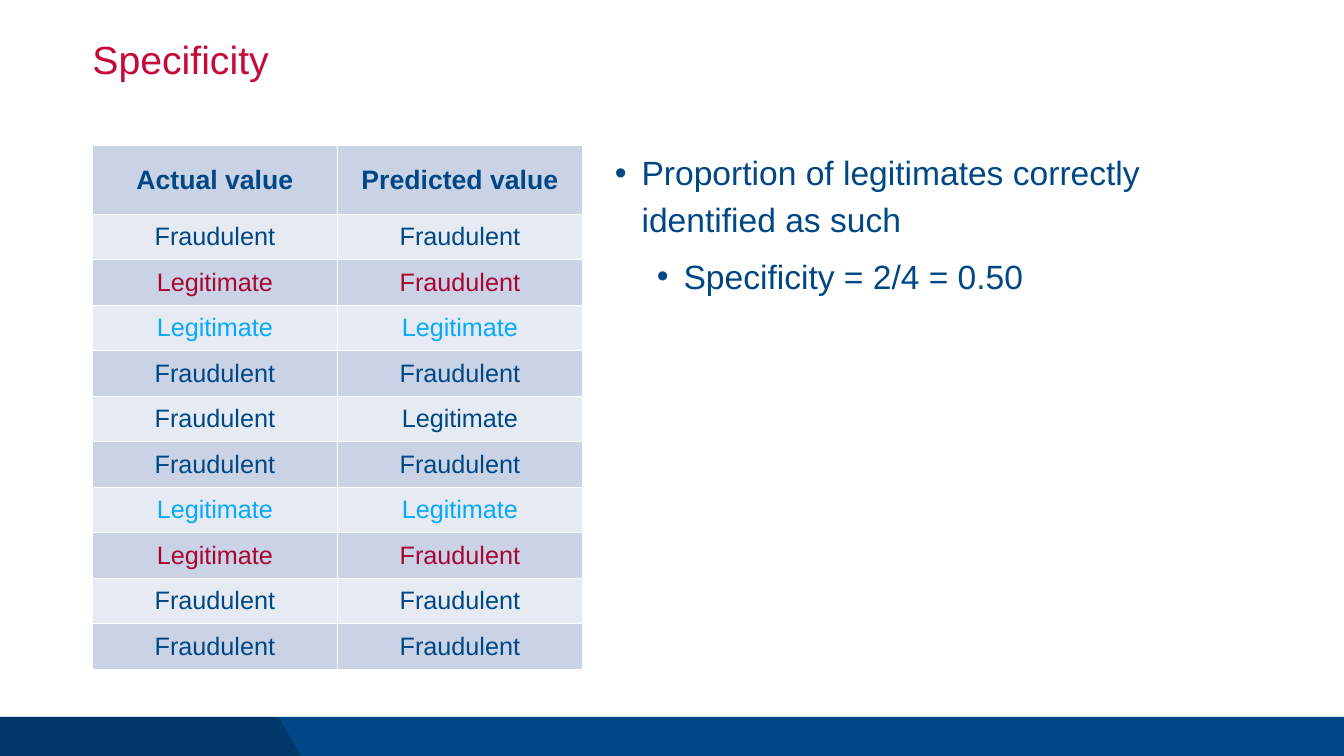
from lxml import etree
from pptx import Presentation
from pptx.dml.color import RGBColor
from pptx.enum.shapes import MSO_SHAPE
from pptx.enum.text import MSO_ANCHOR, PP_ALIGN
from pptx.oxml.ns import qn
from pptx.util import Pt

NAVY, CRIMSON, RED, SKY = "004785", "C5093B", "A90533", "06AAFC"
DARK, LIGHT, WHITE, BLACK = "CAD3E5", "E6EAF2", "FFFFFF", "000000"

TITLE = "Specificity"
HEADER = ("Actual value", "Predicted value")
F, L = "Fraudulent", "Legitimate"
CASES = [(F, F), (L, F), (L, L), (F, F), (F, L),
         (F, F), (L, L), (L, F), (F, F), (F, F)]
CASE_COLORS = {(L, L): SKY, (L, F): RED}
BULLETS = [  # text, left margin, space before
    ("Proportion of legitimates correctly identified as such", 38, 30),
    ("Specificity = 2/4 = 0.50", 98, 15),
]

WIDTH, HEIGHT = 1920, 1080
LEFT, TOP = 132, 208
COL_W, HEAD_H, ROW_H = 350, 98, 65
BAND_TOP, BAND_H = 1024, 60.5
HANG = 38


def rgb(color):
    return RGBColor.from_string(color)


def write(p, text, size, color, bold=False, align=None, spacing=None):
    p.alignment = align
    p.line_spacing = spacing
    r = p.add_run()
    r.text = text
    r.font.name, r.font.size, r.font.bold = "Arial", Pt(size), bold
    r.font.color.rgb = rgb(color)


def paint(sp, color):
    sp.shadow.inherit = False
    sp.fill.solid()
    sp.fill.fore_color.rgb = rgb(color)
    sp.line.fill.background()


def plain_frame(sp):
    tf = sp.text_frame
    tf.word_wrap = True
    tf.vertical_anchor = MSO_ANCHOR.TOP
    tf.margin_left = tf.margin_right = tf.margin_top = tf.margin_bottom = 0
    return tf


def add_borders(cell, color, width):
    """Draw all four cell borders; they must precede the fill in tcPr."""
    tcPr = cell._tc.get_or_add_tcPr()
    for i, side in enumerate(("lnL", "lnR", "lnT", "lnB")):
        ln = etree.Element(qn(f"a:{side}"), w=str(Pt(width)))
        fill = etree.SubElement(ln, qn("a:solidFill"))
        etree.SubElement(fill, qn("a:srgbClr"), val=color)
        tcPr.insert(i, ln)


def add_footer(s):
    band = s.shapes.add_shape(MSO_SHAPE.RECTANGLE, 0, Pt(BAND_TOP), Pt(WIDTH), Pt(BAND_H))
    paint(band, NAVY)
    bottom = BAND_TOP + BAND_H
    builder = s.shapes.build_freeform(0, Pt(BAND_TOP))
    builder.add_line_segments(
        [(Pt(x), Pt(y)) for x, y in ((397.5, BAND_TOP), (432, bottom), (0, bottom))])
    corner = builder.convert_to_shape()
    paint(corner, BLACK)
    clr = corner._element.spPr.find(qn("a:solidFill")).find(qn("a:srgbClr"))
    etree.SubElement(clr, qn("a:alpha"), val="20000")


def add_title(s):
    sp = s.shapes.title
    sp.left, sp.top, sp.width, sp.height = Pt(LEFT), Pt(57.5), Pt(1656), Pt(76)
    write(plain_frame(sp).paragraphs[0], TITLE, 56, CRIMSON,
          align=PP_ALIGN.LEFT, spacing=0.9)


def add_cases(s):
    rows = [HEADER] + CASES
    table = s.shapes.add_table(len(rows), 2, Pt(LEFT), Pt(TOP), Pt(2 * COL_W),
                               Pt(HEAD_H + ROW_H * len(CASES))).table
    for col in table.columns:
        col.width = Pt(COL_W)
    for i, row in enumerate(rows):
        head = i == 0
        table.rows[i].height = Pt(HEAD_H if head else ROW_H)
        for j, text in enumerate(row):
            cell = table.cell(i, j)
            cell.vertical_anchor = MSO_ANCHOR.MIDDLE
            cell.margin_left = cell.margin_right = Pt(7.2)
            cell.margin_top = cell.margin_bottom = Pt(7.2)
            cell.fill.solid()
            cell.fill.fore_color.rgb = rgb(LIGHT if i % 2 else DARK)
            add_borders(cell, WHITE, 2)
            write(cell.text_frame.paragraphs[0], text, 38 if head else 36,
                  CASE_COLORS.get(row, NAVY), bold=head, align=PP_ALIGN.CENTER)


def add_bullets(s):
    tf = plain_frame(s.shapes.add_textbox(Pt(878.5), Pt(TOP + 1), Pt(909.5), Pt(746)))
    for i, (text, margin, before) in enumerate(BULLETS):
        p = tf.add_paragraph() if i else tf.paragraphs[0]
        p.level = i
        write(p, text, 48, NAVY, spacing=1.15)
        p.space_before = Pt(before)
        pPr = p._p.get_or_add_pPr()
        pPr.set("marL", str(Pt(margin)))
        pPr.set("indent", str(-Pt(HANG)))
        etree.SubElement(pPr, qn("a:buFont"), typeface="Arial")
        etree.SubElement(pPr, qn("a:buChar"), char="•")


def main():
    prs = Presentation()
    prs.slide_width, prs.slide_height = Pt(WIDTH), Pt(HEIGHT)
    s = prs.slides.add_slide(prs.slide_layouts[5])
    add_footer(s)
    add_title(s)
    add_cases(s)
    add_bullets(s)
    prs.save("out.pptx")


if __name__ == "__main__":
    main()
